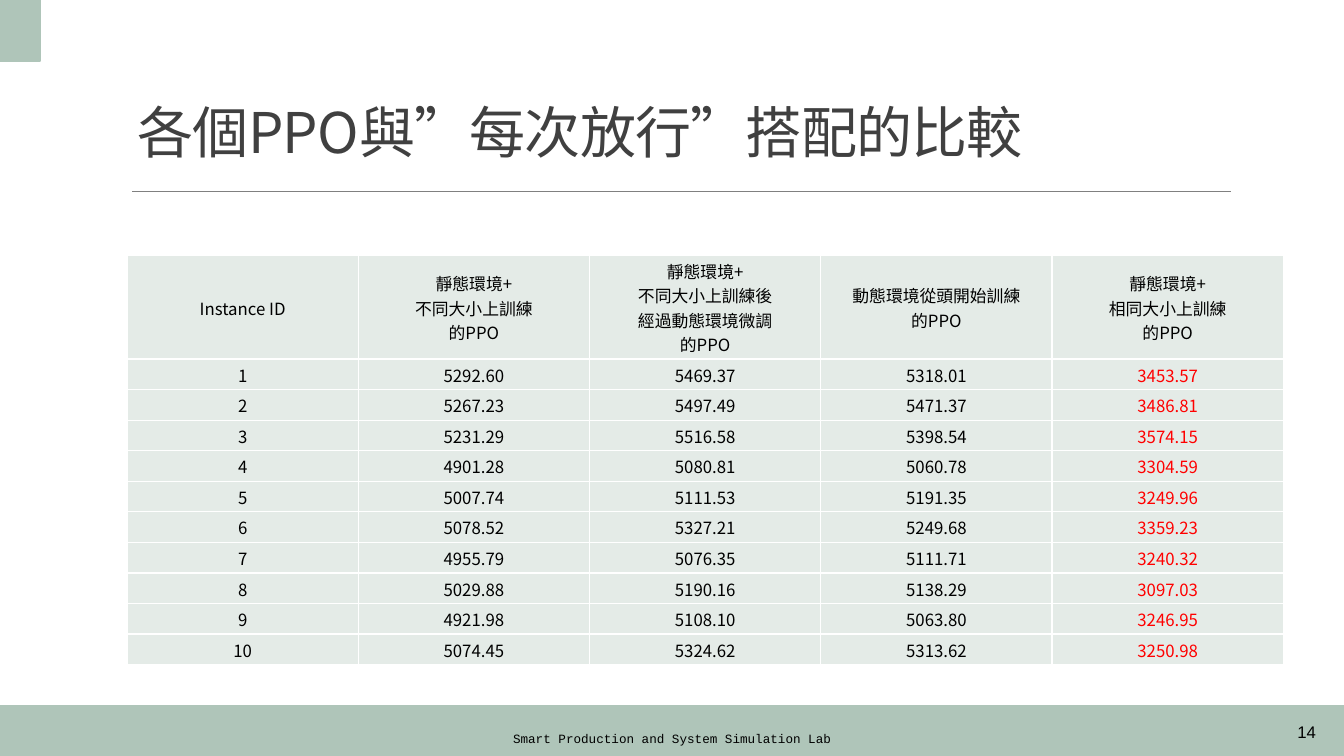
from lxml.etree import SubElement
from pptx import Presentation
from pptx.dml.color import RGBColor
from pptx.enum.shapes import MSO_CONNECTOR, MSO_SHAPE
from pptx.enum.text import MSO_ANCHOR, MSO_AUTO_SIZE, PP_ALIGN
from pptx.oxml.ns import qn
from pptx.util import Inches, Pt

COLORS = {
    "sage": "AFC5B9", "mist": "E4EBE7", "rule": "808080", "title": "404040",
    "text": "000000", "best": "FF0000", "white": "FFFFFF",
}
SANS = "Noto Sans CJK SC"
TITLE = "各個PPO與”每次放行”搭配的比較"
HEADS = [
    "Instance ID",
    "靜態環境+\n不同大小上訓練\n的PPO",
    "靜態環境+\n不同大小上訓練後\n經過動態環境微調\n的PPO",
    "動態環境從頭開始訓練\n的PPO",
    "靜態環境+\n相同大小上訓練\n的PPO",
]
SCORES = [
    ("5292.60", "5469.37", "5318.01", "3453.57"),
    ("5267.23", "5497.49", "5471.37", "3486.81"),
    ("5231.29", "5516.58", "5398.54", "3574.15"),
    ("4901.28", "5080.81", "5060.78", "3304.59"),
    ("5007.74", "5111.53", "5191.35", "3249.96"),
    ("5078.52", "5327.21", "5249.68", "3359.23"),
    ("4955.79", "5076.35", "5111.71", "3240.32"),
    ("5029.88", "5190.16", "5138.29", "3097.03"),
    ("4921.98", "5108.10", "5063.80", "3246.95"),
    ("5074.45", "5324.62", "5313.62", "3250.98"),
]


def color(name):
    return RGBColor.from_string(COLORS[name])


def share(box, left, top, width, height):
    """Return the part of a box given in percent of its size."""
    x, y, w, h = box
    return (int(x + w * left / 100), int(y + h * top / 100),
            int(w * width / 100), int(h * height / 100))


def style(frame, size, font, tone, align):
    for para in frame.paragraphs:
        para.alignment = align
        for run in para.runs:
            run.font.size = Pt(size)
            run.font.name = font
            run.font.color.rgb = color(tone)
            SubElement(run.font._element, qn("a:ea"), typeface=font)


def add_block(slide, box):
    block = slide.shapes.add_shape(MSO_SHAPE.RECTANGLE, *box)
    block.shadow.inherit = False
    block.fill.solid()
    block.fill.fore_color.rgb = color("sage")
    block.line.color.rgb = color("sage")
    block.line.width = Pt(1.25)


def add_label(slide, box, text, size, font, align):
    frame = slide.shapes.add_textbox(*box).text_frame
    frame.word_wrap = True
    frame.vertical_anchor = MSO_ANCHOR.MIDDLE
    frame.text = text
    style(frame, size, font, "text", align)


def add_head(slide, box):
    add_block(slide, share(box, 0, 0, 3, 32))
    x, y, w, h = share(box, 9.83, 100, 81.77, 0)
    rule = slide.shapes.add_connector(MSO_CONNECTOR.STRAIGHT, x, y, x + w, y)
    rule.line.color.rgb = color("rule")
    rule.line.width = Pt(0.5)
    SubElement(rule._element.spPr, qn("a:effectLst"))

    title = slide.shapes.title
    title.left, title.top, title.width, title.height = share(
        box, 9.45, 57.37, 78.47, 31.58)
    frame = title.text_frame
    frame.auto_size = MSO_AUTO_SIZE.NONE
    frame.word_wrap = True
    frame.vertical_anchor = MSO_ANCHOR.BOTTOM
    frame.text = TITLE
    style(frame, 40, SANS, "title", PP_ALIGN.LEFT)
    para = frame.paragraphs[0]
    para.line_spacing = 0.85
    para.runs[0].font._element.set("spc", "-50")


def add_foot(slide, box):
    add_block(slide, box)
    add_label(slide, share(box, 30.23, 38, 39.53, 56),
              "Smart Production and System Simulation Lab",
              9, "Courier New", PP_ALIGN.CENTER)
    add_label(slide, share(box, 87.92, 12, 10.73, 80),
              "14", 12, "Arial", PP_ALIGN.RIGHT)


def fill_cell(cell, text, tone):
    cell.text = text
    cell.vertical_anchor = MSO_ANCHOR.MIDDLE
    cell.margin_left = cell.margin_right = cell.margin_top = Inches(0.01)
    cell.margin_bottom = 0
    style(cell.text_frame, 12, SANS, tone, PP_ALIGN.CENTER)
    props = cell._tc.get_or_add_tcPr()
    for side in ("lnL", "lnR", "lnT", "lnB"):
        edge = SubElement(props, qn(f"a:{side}"), w=str(Pt(1)))
        paint = SubElement(edge, qn("a:solidFill"))
        SubElement(paint, qn("a:srgbClr"), val=COLORS["white"])
    cell.fill.solid()
    cell.fill.fore_color.rgb = color("mist")


def add_scores(slide, box):
    rows = [HEADS] + [(str(i), *row) for i, row in enumerate(SCORES, 1)]
    table = slide.shapes.add_table(len(rows), len(HEADS), *box).table
    table.first_row = table.horz_banding = False
    top = share(box, 0, 0, 100, 25.3)[3]
    for col in table.columns:
        col.width = box[2] // len(HEADS)
    for r, row in enumerate(rows):
        table.rows[r].height = (box[3] - top) // len(SCORES) if r else top
        for c, text in enumerate(row):
            best = r > 0 and c == len(HEADS) - 1
            fill_cell(table.cell(r, c), text, "best" if best else "text")


def main():
    deck = Presentation()
    deck.slide_width, deck.slide_height = Inches(13.33), Inches(7.5)
    slide = deck.slides.add_slide(deck.slide_layouts[5])
    page = (0, 0, deck.slide_width, deck.slide_height)
    add_foot(slide, share(page, 0, 93.33, 100, 6.67))
    add_head(slide, share(page, 0, 0, 100, 25.33))
    add_scores(slide, share(page, 9.45, 33.8, 86.05, 54.13))
    deck.save("out.pptx")


if __name__ == "__main__":
    main()
